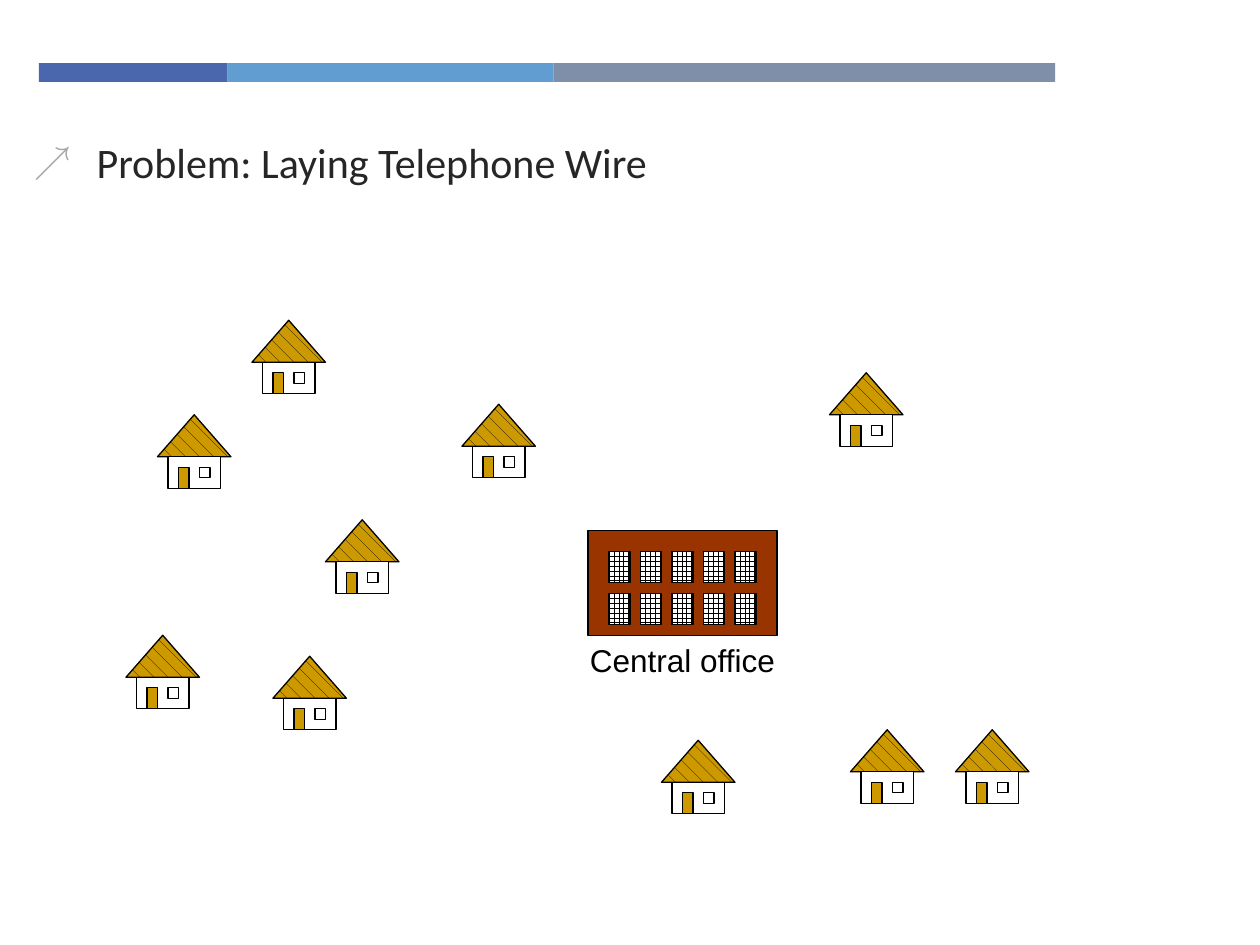
from lxml.etree import SubElement
from pptx import Presentation
from pptx.dml.color import RGBColor
from pptx.enum.dml import MSO_PATTERN
from pptx.enum.shapes import MSO_SHAPE
from pptx.enum.text import MSO_ANCHOR, MSO_AUTO_SIZE, PP_ALIGN
from pptx.oxml.ns import qn
from pptx.util import Inches, Pt

BLACK = RGBColor(0x00, 0x00, 0x00)
WHITE = RGBColor(0xFF, 0xFF, 0xFF)
INK = RGBColor(0x26, 0x26, 0x26)
MUTED = RGBColor(0xA6, 0xA6, 0xA6)
GOLD = RGBColor(0xCC, 0x99, 0x00)
BRICK = RGBColor(0x99, 0x33, 0x00)
BLUE = RGBColor(0x4A, 0x66, 0xAC)
SKY = RGBColor(0x62, 0x9D, 0xD1)
SLATE = RGBColor(0x7F, 0x8F, 0xA9)


def cell(*sizes):
    """Grid cells are a twelfth of an inch."""
    return [Inches(size / 12) for size in sizes]


class Board:
    def __init__(self, slide):
        self.slide = slide
        self.group = None

    def start(self):
        self.group = self.slide.shapes.add_group_shape().shapes

    def block(self, col, row, wide, high, fill=None, edge=BLACK,
              kind=MSO_SHAPE.RECTANGLE, weave=None):
        shape = self.group.add_shape(kind, *cell(col, row, wide, high))
        shape.shadow.inherit = False
        if weave is not None:
            shape.fill.patterned()
            shape.fill.pattern = weave
            shape.fill.fore_color.rgb = BLACK
            shape.fill.back_color.rgb = fill
        elif fill is None:
            shape.fill.background()
        else:
            shape.fill.solid()
            shape.fill.fore_color.rgb = fill
        if edge is None:
            shape.line.fill.background()
        else:
            shape.line.color.rgb = edge
            shape.line.width = Pt(0.75)

    def house(self, col, row):
        self.block(col, row, 7, 4, GOLD, kind=MSO_SHAPE.ISOSCELES_TRIANGLE,
                   weave=MSO_PATTERN.SHINGLE)
        self.block(col + 1, row + 4, 5, 3, WHITE)
        self.block(col + 2, row + 5, 1, 2, GOLD)
        self.block(col + 4, row + 5, 1, 1)

    def office(self, col, row):
        self.block(col, row, 18, 10, BRICK)
        for down in range(2):
            for over in range(5):
                self.block(col + 2 + 3 * over, row + 2 + 4 * down, 2, 3,
                           WHITE, weave=MSO_PATTERN.LARGE_GRID)

    def words(self, para, text, font, size, color):
        run = para.add_run()
        run.text = text
        run.font.name = font
        run.font.size = Pt(size)
        run.font.color.rgb = color

    def label(self, col, row, wide, high, text):
        box = self.group.add_textbox(*cell(col, row, wide, high))
        frame = box.text_frame
        frame.word_wrap = False
        frame.auto_size = MSO_AUTO_SIZE.SHAPE_TO_FIT_TEXT
        para = frame.paragraphs[0]
        para.alignment = PP_ALIGN.LEFT
        self.words(para, text, "Arial", 18, BLACK)

    def body(self, col, row, wide, high, text):
        hold = self.slide.placeholders[1]
        hold.left, hold.top, hold.width, hold.height = cell(col, row, wide, high)
        frame = hold.text_frame
        frame.auto_size = MSO_AUTO_SIZE.NONE
        frame.vertical_anchor = MSO_ANCHOR.TOP
        para = frame.paragraphs[0]
        para.space_before = Pt(20)
        self.words(para, text, "Calibri", 24, INK)
        # Hanging arrow bullet
        props = para._p.get_or_add_pPr()
        props.set("marL", str(Inches(0.5)))
        props.set("indent", str(-Inches(0.5)))
        tint = SubElement(props, qn("a:buClr"))
        SubElement(tint, qn("a:srgbClr"), val=str(MUTED))
        SubElement(props, qn("a:buSzPct"), val="90000")
        SubElement(props, qn("a:buFont"), typeface="Arial")
        SubElement(props, qn("a:buChar"), char="↗")


deck = Presentation()
deck.slide_width, deck.slide_height = Inches(10), Inches(7.5)
slide = deck.slides.add_slide(deck.slide_layouts[1])
title = slide.shapes.title.element
title.getparent().remove(title)
board = Board(slide)

# Heading
board.body(2, 12.4, 115.4, 68.8, "Problem: Laying Telephone Wire")

# Top band
board.start()
left = 3.7
for wide, color in ((18, BLUE), (31, SKY), (47.8, SLATE)):
    board.block(left, 6, wide, 1.8, color, edge=None)
    left += wide

# Town: houses around the central office
HOMES = ((12, 60.5), (63, 70.5), (44, 38.5), (79, 35.5), (31, 49.5),
         (15, 39.5), (24, 30.5), (26, 62.5), (91, 69.5), (81, 69.5))
board.start()
for col, row in HOMES:
    board.house(col, row)
board.office(56, 50.5)
board.label(55, 60.5, 20, 4.8, "Central office")

deck.save("out.pptx")
